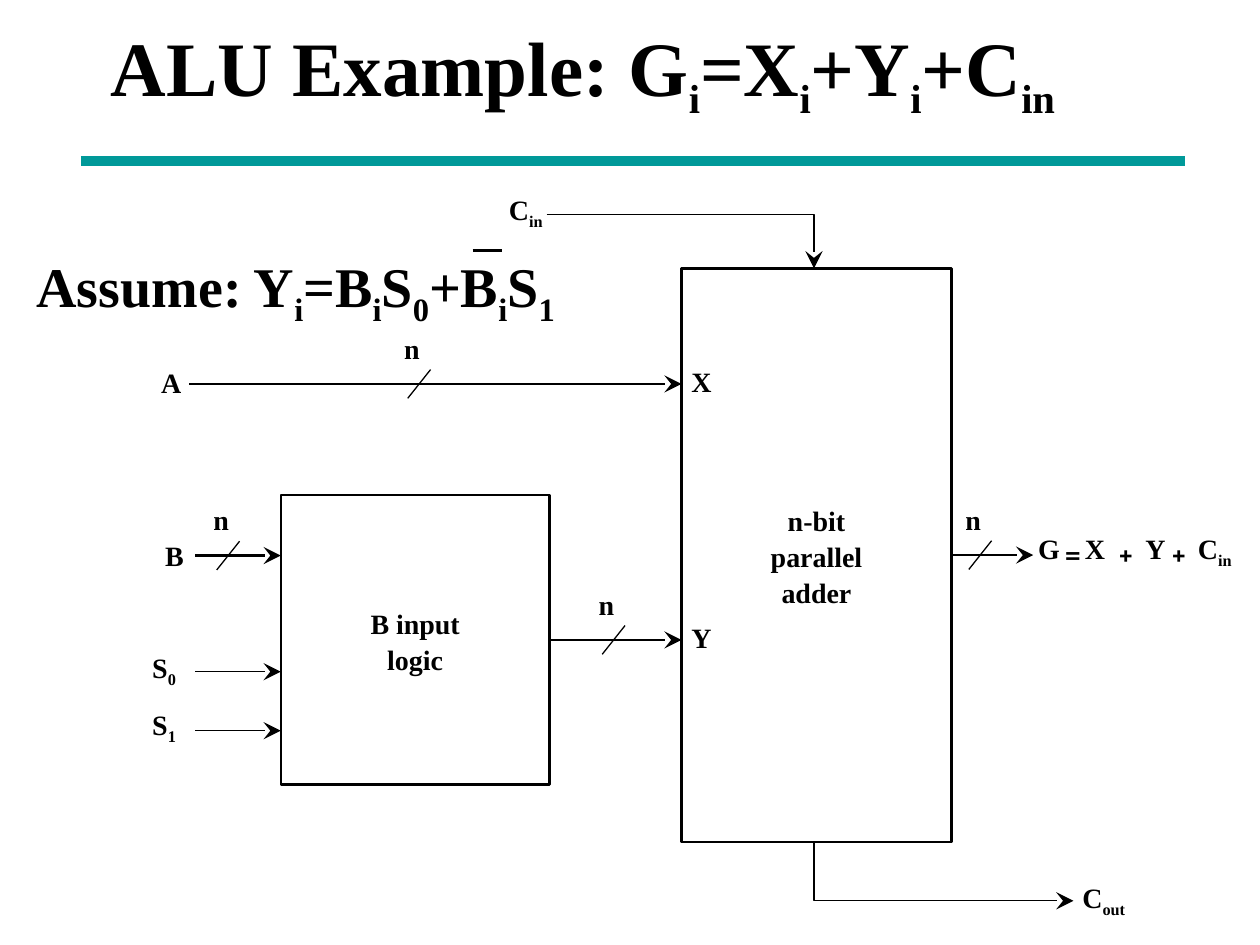
from dataclasses import dataclass
from lxml.etree import SubElement as Sub
from pptx import Presentation
from pptx.dml.color import RGBColor as Rgb
from pptx.enum.shapes import MSO_CONNECTOR as Link, MSO_SHAPE as Shape
from pptx.enum.text import MSO_ANCHOR as Anchor, MSO_AUTO_SIZE as Fit, PP_ALIGN as Align
from pptx.oxml.ns import qn
from pptx.util import Cm, Pt


@dataclass(frozen=True)
class Theme:
    ink: Rgb = Rgb(0, 0, 0)
    teal: Rgb = Rgb(0, 0x99, 0x99)
    font: str = "Times New Roman"
    sign: str = "Cambria"
    title: int = 44
    small: int = 40
    body: int = 32
    label: int = 16
    thin: float = 0.75
    bold: float = 1.39
    bar: float = 1.5
    rule: float = 6


look = Theme()


def write(frame, text, size=look.label, low=None, font=look.font, align=Align.LEFT, pitch=None):
    frame.word_wrap = True
    frame.auto_size = Fit.NONE
    for row, line in enumerate(text.split("\n")):
        para = frame.add_paragraph() if row else frame.paragraphs[0]
        props = para._p.get_or_add_pPr()
        props.set("marL", "0")
        props.set("indent", "0")
        Sub(props, qn("a:buNone"))
        para.alignment = align
        para.space_before = Pt(0)
        if pitch:
            para.line_spacing = Pt(pitch)
        for part, piece in enumerate(line.split("_")):
            if not piece:
                continue
            run = para.add_run()
            run.text = piece
            run.font.name = font
            run.font.bold = True
            run.font.color.rgb = look.ink
            run.font.size = Pt(low or size) if part % 2 else Pt(size)
            if part % 2:
                run.font._element.set("baseline", "-25000")


def stroke(shape, width, color=look.ink, head=False):
    shape.line.color.rgb = color
    shape.line.width = Pt(width)
    props = shape._element.spPr
    if head:
        Sub(props.find(qn("a:ln")), qn("a:tailEnd"), type="stealth", w="lg", len="lg")
    if props.find(qn("a:effectLst")) is None:
        Sub(props, qn("a:effectLst"))


deck = Presentation()
deck.slide_width, deck.slide_height = Cm(25.4), Cm(19.05)
slide = deck.slides.add_slide(deck.slide_layouts[1])
shapes = slide.shapes

title, body = slide.placeholders
title.left, title.top, title.width, title.height = Cm(1.98), Cm(0), Cm(21.59), Cm(2.84)
title.text_frame.vertical_anchor = Anchor.MIDDLE
write(title.text_frame, "ALU Example: G_i_=X_i_+Y_i_+C_in_", size=look.title, low=look.small)
body.left, body.top, body.width, body.height = Cm(0.48), Cm(4.95), Cm(13.79), Cm(2.77)
write(body.text_frame, "Assume: Y_i_=B_i_S_0_+B_i_S_1_", size=look.body)

boxes = []
for x, y, wide, high, text in [
    (5.66, 9.98, 5.42, 5.84, "B input\nlogic"),
    (13.74, 5.41, 5.44, 11.56, "n-bit\nparallel\nadder"),
]:
    box = shapes.add_shape(Shape.RECTANGLE, Cm(x), Cm(y), Cm(wide), Cm(high))
    box.shadow.inherit = False
    box.fill.background()
    stroke(box, look.bold)
    box.text_frame.vertical_anchor = Anchor.MIDDLE
    write(box.text_frame, text, align=Align.CENTER, pitch=20.7)
    boxes.append(box)
logic, adder = boxes

for x, y, end, width, color in [
    (1.63, 3.25, 23.88, look.rule, look.teal),
    (9.53, 5.05, 10.11, look.bar, look.ink),
]:
    line = shapes.add_connector(Link.STRAIGHT, Cm(x), Cm(y), Cm(end), Cm(y))
    stroke(line, width, color)

for x, y, end, width, source, slash in [
    (3.81, 7.74, 13.74, look.bold, None, 8.45),
    (3.94, 11.2, 5.66, look.bold, None, 4.6),
    (3.94, 13.54, 5.66, look.thin, None, None),
    (3.94, 14.73, 5.66, look.thin, None, None),
    (11.08, 12.9, 13.74, look.bold, logic, 12.37),
    (19.18, 11.19, 20.83, look.bold, adder, 19.76),
]:
    wire = shapes.add_connector(Link.STRAIGHT, Cm(x), Cm(y), Cm(end), Cm(y))
    if source:
        wire.begin_connect(source, 3)
    stroke(wire, width, head=True)
    if slash:
        tick = shapes.add_connector(
            Link.STRAIGHT, Cm(slash + 0.23), Cm(y - 0.29), Cm(slash - 0.23), Cm(y + 0.29))
        stroke(tick, look.thin)
        note = shapes.add_textbox(Cm(slash - 0.3), Cm(y - 1.06), Cm(0.46), Cm(0.69))
        frame = note.text_frame
        frame.margin_left = frame.margin_right = frame.margin_top = frame.margin_bottom = 0
        write(frame, "n")

for start, turn, end in [
    ((11.02, 4.32), (16.41, 4.32), (16.41, 5.41)),
    ((16.41, 16.97), (16.41, 18.16), (21.64, 18.16)),
]:
    path = shapes.build_freeform(Cm(start[0]), Cm(start[1]))
    path.add_line_segments([(Cm(x), Cm(y)) for x, y in (turn, end)], close=False)
    bend = path.convert_to_shape()
    bend.shadow.inherit = False
    bend.fill.background()
    stroke(bend, look.thin, head=True)

for x, y, text in [
    (10.26, 3.89, "C_in_"),
    (3.25, 7.37, "A"),
    (3.33, 10.85, "B"),
    (3.07, 13.11, "S_0_"),
    (3.07, 14.27, "S_1_"),
    (13.94, 7.34, "X"),
    (13.94, 12.52, "Y"),
    (20.93, 10.72, "G"),
    (21.46, 10.82, "="),
    (21.87, 10.72, "X"),
    (22.53, 10.82, "+"),
    (23.09, 10.72, "Y"),
    (23.6, 10.82, "+"),
    (24.15, 10.72, "C_in_"),
    (21.82, 17.75, "C_out_"),
]:
    low = text.split("_")[1] if "_" in text else ""
    tag = shapes.add_textbox(Cm(x), Cm(y), Cm(0.46 + 0.2 * len(low)), Cm(0.69))
    frame = tag.text_frame
    frame.margin_left = frame.margin_right = frame.margin_top = frame.margin_bottom = 0
    write(frame, text, font=look.sign if text in "=+" else look.font)

deck.save("out.pptx")
